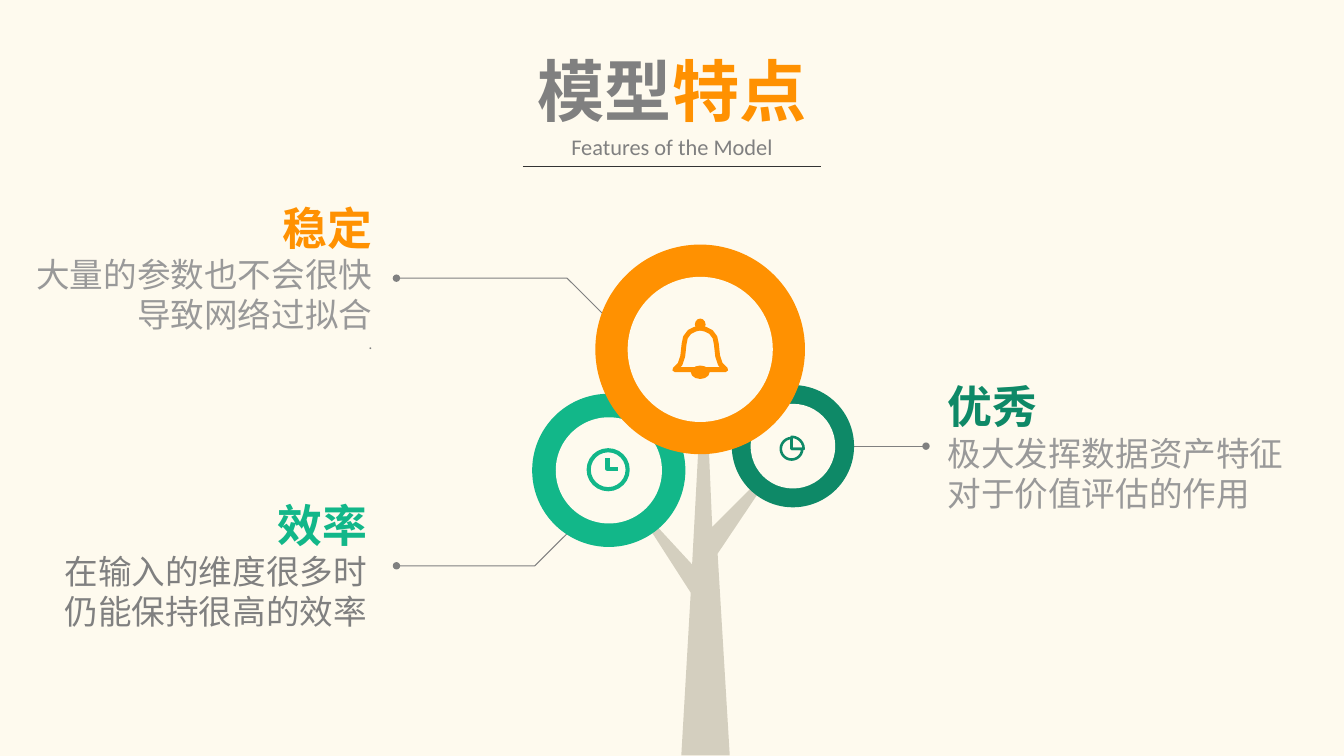
import pptx
import pptx.util
import pptx.dml.color
import pptx.enum.shapes
import pptx.enum.text
import pptx.oxml.ns
import lxml.etree

Inches = pptx.util.Inches
Pt = pptx.util.Pt
RGBColor = pptx.dml.color.RGBColor
SHAPE = pptx.enum.shapes.MSO_SHAPE
ALIGN = pptx.enum.text.PP_ALIGN
qn = pptx.oxml.ns.qn

CREAM = RGBColor(0xFE, 0xFA, 0xEE)
ORANGE = RGBColor(0xFF, 0x91, 0x01)
GREEN = RGBColor(0x12, 0xB7, 0x89)
DARK_GREEN = RGBColor(0x0E, 0x89, 0x67)
GRAY = RGBColor(0x80, 0x80, 0x80)
LIGHT_GRAY = RGBColor(0x99, 0x99, 0x99)
CHARCOAL = RGBColor(0x33, 0x33, 0x33)
BARK = RGBColor(0x2E, 0x24, 0x03)
CJK = "Noto Sans CJK SC"
LATIN = "Calibri"


def format_run(run, size, color, bold=False, font=CJK):
    run.font.size = Pt(size)
    run.font.bold = bold
    run.font.color.rgb = color
    run.font.name = font
    if font == CJK:
        east_asian = lxml.etree.SubElement(run.font._element, qn("a:ea"))
        east_asian.set("typeface", font)


def paint(shape, fill=None, line=None, width=0.5):
    shape.shadow.inherit = False
    if fill is None:
        shape.fill.background()
    else:
        shape.fill.solid()
        shape.fill.fore_color.rgb = fill
    if line is None:
        shape.line.fill.background()
    else:
        shape.line.color.rgb = line
        shape.line.width = Pt(width)


deck = pptx.Presentation()
deck.slide_width, deck.slide_height = Inches(10), Inches(10) * 9 // 16
slide = deck.slides.add_slide(deck.slide_layouts[5])
slide.background.fill.solid()
slide.background.fill.fore_color.rgb = CREAM
shapes = slide.shapes

features = [
    (0.25, 1.49, 2.52, 1.14, ALIGN.RIGHT, ORANGE, LIGHT_GRAY,
     ["稳定", "大量的参数也不会很快导致网络过拟合", "."]),
    (0.37, 3.7, 2.36, 1.01, ALIGN.RIGHT, GREEN, GRAY,
     ["效率", "在输入的维度很多时仍能保持很高的效率"]),
    (7.05, 2.82, 2.52, 1.01, ALIGN.LEFT, DARK_GREEN, LIGHT_GRAY,
     ["优秀", "极大发挥数据资产特征对于价值评估的作用"]),
]
for left, top, width, height, align, accent, body_color, lines in features:
    feature = shapes.add_textbox(Inches(left), Inches(top), Inches(width), Inches(height))
    frame = feature.text_frame
    frame.word_wrap = True
    frame.margin_left = frame.margin_right = frame.margin_top = frame.margin_bottom = 0
    frame.text = "\n".join(lines)
    styles = [(24, accent, True, CJK), (18, body_color, False, CJK), (8, GRAY, False, LATIN)]
    for paragraph, style in zip(frame.paragraphs, styles):
        paragraph.alignment = align
        format_run(paragraph.runs[0], *style)

outlines = [
    ([(4.52, 2.37), (4.22, 2.07), (2.95, 2.07)], False),
    ([(4.26, 3.93), (3.98, 4.21), (2.95, 4.21)], False),
    ([(5.07, 5.62), (5.43, 5.62), (5.34, 4.12), (5.83, 3.39), (5.3, 3.92),
      (5.24, 2.53), (5.15, 4.2), (4.67, 3.68), (5.14, 4.41)], True),
]
leaders = []
for points, closed in outlines:
    corners = [(Inches(x), Inches(y)) for x, y in points]
    builder = shapes.build_freeform(*corners[0])
    builder.add_line_segments(corners[1:], close=closed)
    outline = builder.convert_to_shape()
    if closed:
        paint(outline, BARK)
        bark_color = outline._element.spPr.find(".//" + qn("a:srgbClr"))
        lxml.etree.SubElement(bark_color, qn("a:alpha")).set("val", "20000")
    else:
        paint(outline, line=GRAY)
        leaders.append(outline)

for start, end, y, color in [(6.29, 6.89, 3.32, GRAY), (3.89, 6.11, 1.24, CHARCOAL)]:
    rule = shapes.add_connector(
        pptx.enum.shapes.MSO_CONNECTOR.STRAIGHT, Inches(start), Inches(y), Inches(end), Inches(y))
    rule.line.color.rgb = color
    rule.line.width = Pt(0.5)
    lxml.etree.SubElement(rule._element.spPr, qn("a:effectLst"))
    if color == GRAY:
        leaders.append(rule)

for leader in leaders:
    dot = lxml.etree.SubElement(leader.line._get_or_add_ln(), qn("a:tailEnd"))
    for key, value in [("type", "oval"), ("w", "sm"), ("len", "sm")]:
        dot.set(key, value)

for center_x, center_y, outer, inner, color in [
    (5.9, 3.32, 0.91, 0.63, DARK_GREEN),
    (4.53, 3.5, 1.14, 0.79, GREEN),
    (5.21, 2.6, 1.56, 1.08, ORANGE),
]:
    for size, fill in [(outer, color), (inner, CREAM)]:
        disc = shapes.add_shape(
            SHAPE.OVAL, Inches(center_x - size / 2), Inches(center_y - size / 2),
            Inches(size), Inches(size))
        paint(disc, fill)

for left, top, size, angles in [(5.81, 3.26, 0.16, (0, 162)), (5.8, 3.25, 0.18, (162, 0))]:
    slice_icon = shapes.add_shape(
        SHAPE.PIE, Inches(left), Inches(top), Inches(size), Inches(size))
    slice_icon.adjustments[0], slice_icon.adjustments[1] = angles
    paint(slice_icon, line=DARK_GREEN, width=1.4)

for left, top, width, height in [(5.17, 2.37, 0.08, 0.09), (5.14, 2.72, 0.14, 0.1)]:
    bell_part = shapes.add_shape(
        SHAPE.OVAL, Inches(left), Inches(top), Inches(width), Inches(height))
    paint(bell_part, ORANGE)

clock_rim = shapes.add_shape(SHAPE.OVAL, Inches(4.38), Inches(3.35), Inches(0.29), Inches(0.29))
paint(clock_rim, line=GREEN, width=2.2)

bell_left = [(5.02, 2.75), (5.06, 2.71), (5.08, 2.65), (5.09, 2.56),
             (5.1, 2.51), (5.13, 2.47), (5.17, 2.45)]
bell_right = [(2 * 5.21 - x, y) for x, y in reversed(bell_left)]
clock_hands = [(4.52, 3.41), (4.52, 3.49), (4.6, 3.49)]
for points, closed, color, width in [
    (bell_left + [(5.21, 2.44)] + bell_right, True, ORANGE, 2.6),
    (clock_hands, False, GREEN, 2.2),
]:
    corners = [(Inches(x), Inches(y)) for x, y in points]
    builder = shapes.build_freeform(*corners[0])
    builder.add_line_segments(corners[1:], close=closed)
    icon = builder.convert_to_shape()
    paint(icon, line=color, width=width)
    lxml.etree.SubElement(icon.line._get_or_add_ln(), qn("a:round"))

title = shapes.title
title.left, title.top, title.width, title.height = (
    Inches(3.89), Inches(0.32), Inches(2.22), Inches(0.71))
heading = title.text_frame.paragraphs[0]
for word, color in [("模型", GRAY), ("特点", ORANGE)]:
    run = heading.add_run()
    run.text = word
    format_run(run, 36, color, True)

subtitle = shapes.add_textbox(Inches(4.14), Inches(0.94), Inches(1.72), Inches(0.3))
subtitle.text_frame.text = "Features of the Model"
format_run(subtitle.text_frame.paragraphs[0].runs[0], 12, GRAY, font=LATIN)

for frame in (title.text_frame, subtitle.text_frame):
    frame.word_wrap = False
    frame.auto_size = pptx.enum.text.MSO_AUTO_SIZE.NONE
    frame.vertical_anchor = pptx.enum.text.MSO_ANCHOR.TOP
    frame.paragraphs[0].alignment = ALIGN.CENTER

deck.save("out.pptx")
